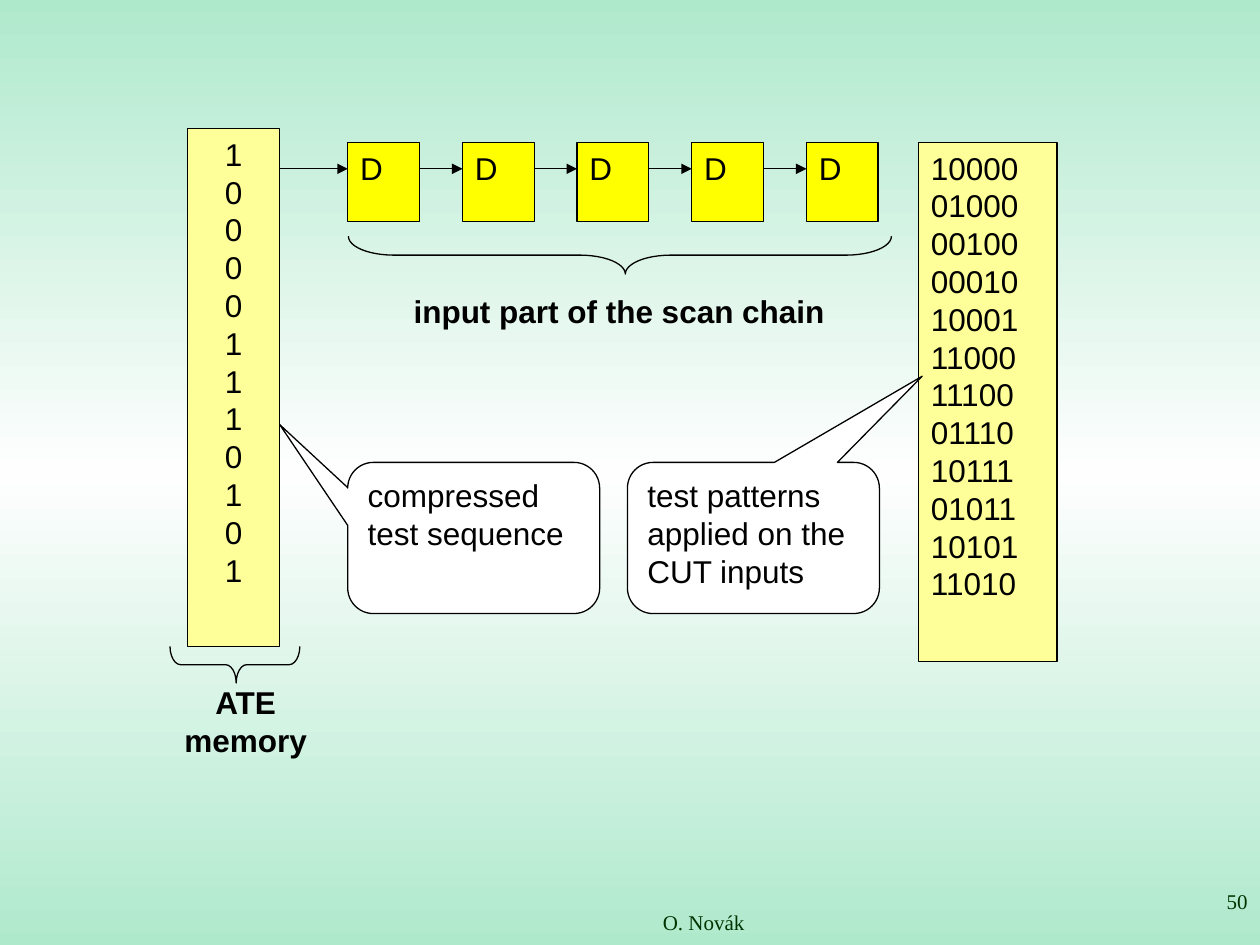
from copy import deepcopy
from dataclasses import dataclass

from lxml.etree import SubElement
from pptx import Presentation
from pptx.dml.color import RGBColor as RGB
from pptx.enum.shapes import MSO_CONNECTOR as Link, MSO_SHAPE as Kind
from pptx.enum.text import MSO_ANCHOR as Anchor, PP_ALIGN as Align
from pptx.oxml.ns import qn
from pptx.util import Inches, Pt

COLORS = {
    "mint": "AFE9CC", "pale": "FEFEFE", "cream": "FFFF99", "yellow": "FFFF00",
    "white": "FFFFFF", "black": "000000", "green": "003300",
}
CHAIN_LEFT, CHAIN_TOP = 2.76, 1.13
CELL_COUNT, CELL_STEP, CELL_WIDTH = 5, 0.91, 0.57
ARROW_TOP = 1.34
BITS = "100001110101"
TESTS = ("10000 01000 00100 00010 10001 11000 "
         "11100 01110 10111 01011 10101 11010").split()


@dataclass
class Area:
    left: float
    top: float
    width: float
    height: float

    def lengths(self) -> list:
        return [Inches(v) for v in (self.left, self.top, self.width, self.height)]


@dataclass
class Style:
    size: int = 18
    font: str = "Arial"
    color: str = "black"
    bold: bool = False
    align: Align = Align.LEFT


@dataclass
class Panel:
    area: Area
    fill: str
    lines: list[str]
    align: Align = Align.LEFT
    kind: Kind = Kind.RECTANGLE
    adjust: tuple = ()


@dataclass
class Brace:
    area: Area
    curve: float
    point: float


@dataclass
class Label:
    area: Area
    text: str
    style: Style


def rgb(name: str) -> RGB:
    return RGB.from_string(COLORS[name])


def set_text(frame, lines: list[str], style: Style) -> None:
    frame.word_wrap = True
    frame.vertical_anchor = Anchor.TOP
    for i, line in enumerate(lines):
        para = frame.add_paragraph() if i else frame.paragraphs[0]
        para.alignment = style.align
        run = para.add_run()
        run.text = line
        font = run.font
        font.size, font.name, font.bold = Pt(style.size), style.font, style.bold
        font.color.rgb = rgb(style.color)


def set_line(shape) -> None:
    shape.line.color.rgb = rgb("black")
    shape.line.width = Pt(0.75)


def add_shape(slide, kind: Kind, area: Area, adjust: tuple):
    shape = slide.shapes.add_shape(kind, *area.lengths())
    shape.shadow.inherit = False
    for i, value in enumerate(adjust):
        shape.adjustments[i] = value
    set_line(shape)
    return shape


def add_panel(slide, panel: Panel) -> None:
    shape = add_shape(slide, panel.kind, panel.area, panel.adjust)
    shape.fill.solid()
    shape.fill.fore_color.rgb = rgb(panel.fill)
    set_text(shape.text_frame, panel.lines, Style(align=panel.align))


def add_brace(slide, brace: Brace) -> None:
    """Draw a brace lying on its side with its point down."""
    shape = add_shape(slide, Kind.LEFT_BRACE, brace.area, (brace.curve, brace.point))
    shape.rotation = 270
    shape.fill.background()


def add_label(slide, label: Label) -> None:
    box = slide.shapes.add_textbox(*label.area.lengths())
    set_text(box.text_frame, [label.text], label.style)


def add_arrow(slide, start: float, end: float) -> None:
    top = Inches(ARROW_TOP)
    arrow = slide.shapes.add_connector(
        Link.STRAIGHT, Inches(start), top, Inches(end), top)
    set_line(arrow)
    props = arrow._element.spPr
    SubElement(props.find(qn("a:ln")), qn("a:tailEnd"), type="triangle")
    SubElement(props, qn("a:effectLst"))


def set_back(slide) -> None:
    fill = slide.background.fill
    fill.gradient()
    fill.gradient_angle = 90
    for stop in fill.gradient_stops:
        stop.color.rgb = rgb("mint")
    first = slide._element.find(".//" + qn("a:gsLst"))[0]
    first.addnext(deepcopy(first))
    middle = fill.gradient_stops[1]
    middle.position = 0.5
    middle.color.rgb = rgb("pale")


def main() -> None:
    deck = Presentation()
    deck.slide_width, deck.slide_height = Inches(10), Inches(7.5)
    slide = deck.slides.add_slide(deck.slide_layouts[6])
    set_back(slide)

    bold = Style(bold=True, align=Align.CENTER)
    labels = [
        Label(Area(1.13, 5.37, 1.64, 0.74), "ATE memory", bold),
        Label(Area(CHAIN_LEFT, 2.27, 4.31, 0.74), "input part of the scan chain", bold),
        Label(Area(4, 7.17, 3.17, 0.25), "O. Novák",
              Style(12, "Times New Roman", "green", align=Align.CENTER)),
        Label(Area(7.92, 7, 2.08, 0.5), "50",
              Style(12, "Times New Roman", "green", align=Align.RIGHT)),
    ]
    store = Panel(Area(1.49, 1.02, 0.73, 4.11), "cream", list(BITS), Align.CENTER)
    tests = Panel(Area(7.29, CHAIN_TOP, 1.1, 4.12), "cream", TESTS)
    cells = [
        Panel(Area(CHAIN_LEFT + i * CELL_STEP, CHAIN_TOP, CELL_WIDTH, 0.63),
              "yellow", ["D"])
        for i in range(CELL_COUNT)
    ]
    notes = [
        Panel(Area(4.98, 3.67, 2, 1.2), "white",
              ["test patterns applied on the CUT inputs"],
              kind=Kind.ROUNDED_RECTANGULAR_CALLOUT, adjust=(0.67, -1.07, 0.17)),
        Panel(Area(CHAIN_LEFT, 3.67, 2, 1.2), "white", ["compressed test sequence"],
              kind=Kind.ROUNDED_RECTANGULAR_CALLOUT, adjust=(-0.77, -0.75, 0.17)),
    ]
    braces = [
        Brace(Area(1.72, 4.76, 0.29, 1.03), 0.29, 0.51),
        Brace(Area(4.77, -0.13, 0.3, 4.31), 1.2, 0.51),
    ]

    for panel in [store, tests, *cells, *notes]:
        add_panel(slide, panel)
    chain = [store, *cells]
    for left, right in zip(chain, chain[1:]):
        add_arrow(slide, left.area.left + left.area.width, right.area.left)
    for brace in braces:
        add_brace(slide, brace)
    for label in labels:
        add_label(slide, label)
    deck.save("out.pptx")


if __name__ == "__main__":
    main()
